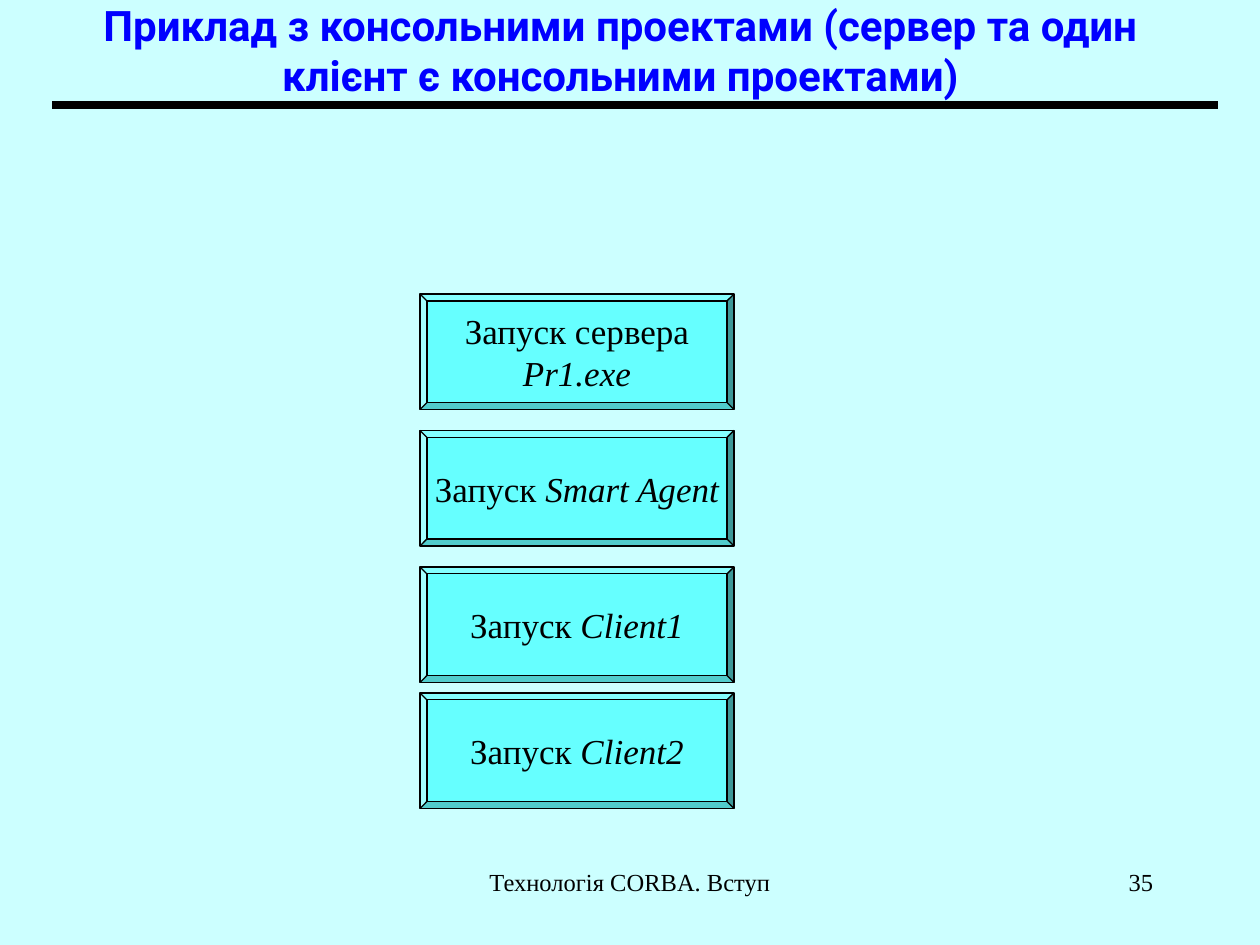
from dataclasses import dataclass

from pptx import Presentation
from pptx.dml.color import RGBColor
from pptx.enum.shapes import MSO_CONNECTOR, MSO_SHAPE
from pptx.enum.text import MSO_ANCHOR, MSO_AUTO_SIZE, PP_ALIGN
from pptx.oxml.ns import qn
from pptx.util import Inches, Pt

BEVEL = MSO_SHAPE.BEVEL
STRAIGHT = MSO_CONNECTOR.STRAIGHT
CENTER, RIGHT = PP_ALIGN.CENTER, PP_ALIGN.RIGHT
TOP, MIDDLE = MSO_ANCHOR.TOP, MSO_ANCHOR.MIDDLE
NO_AUTOFIT = MSO_AUTO_SIZE.NONE
TITLE_ONLY = 5
COLUMNS, ROWS = 120, 90


@dataclass(frozen=True)
class Theme:
    background: RGBColor = RGBColor(0xCC, 0xFF, 0xFF)
    step_fill: RGBColor = RGBColor(0x66, 0xFF, 0xFF)
    title: RGBColor = RGBColor(0x00, 0x00, 0xFF)
    ink: RGBColor = RGBColor(0x00, 0x00, 0x00)
    title_font: str = "Roboto"
    body_font: str = "Times New Roman"
    title_size: int = 24
    step_size: int = 20
    footer_size: int = 14


class SlideBuilder:
    """Places elements on a grid of COLUMNS by ROWS cells."""

    def __init__(self, deck, theme):
        self.theme = theme
        self.cell_width = deck.slide_width / COLUMNS
        self.cell_height = deck.slide_height / ROWS
        self.page = deck.slides.add_slide(deck.slide_layouts[TITLE_ONLY])
        self.page.background.fill.solid()
        self.page.background.fill.fore_color.rgb = theme.background

    def place(self, column, row, width, height):
        return (round(column * self.cell_width), round(row * self.cell_height),
                round(width * self.cell_width), round(height * self.cell_height))

    def style(self, para, size, align, name=None, color=None, bold=False):
        para.alignment = align
        para.font.name = name or self.theme.body_font
        para.font.size = Pt(size)
        para.font.color.rgb = color or self.theme.ink
        para.font.bold = bold

    def title(self, text, *cells):
        box = self.page.shapes.title
        box.left, box.top, box.width, box.height = self.place(*cells)
        frame = box.text_frame
        frame.text = text
        frame.word_wrap = True
        frame.auto_size = NO_AUTOFIT
        frame.vertical_anchor = MIDDLE
        self.style(frame.paragraphs[0], self.theme.title_size, CENTER,
                   self.theme.title_font, self.theme.title, bold=True)

    def rule(self, column, row, width, weight):
        left, top, length, _ = self.place(column, row, width, 0)
        line = self.page.shapes.add_connector(STRAIGHT, left, top, left + length, top)
        line.line.color.rgb = self.theme.ink
        line.line.width = Pt(weight)
        properties = line._element.spPr
        properties.append(properties.makeelement(qn("a:effectLst"), {}))

    def step(self, lines, *cells):
        """Draw a bevelled box; each line is a list of (text, italic) spans."""
        box = self.page.shapes.add_shape(BEVEL, *self.place(*cells))
        box.adjustments[0] = 0.06
        box.shadow.inherit = False
        box.fill.solid()
        box.fill.fore_color.rgb = self.theme.step_fill
        box.line.color.rgb = self.theme.ink
        box.line.width = Pt(0.75)
        frame = box.text_frame
        frame.word_wrap = False
        frame.vertical_anchor = MIDDLE
        for index, spans in enumerate(lines):
            para = frame.add_paragraph() if index else frame.paragraphs[0]
            self.style(para, self.theme.step_size, CENTER)
            for text, italic in spans:
                span = para.add_run()
                span.text = text
                span.font.italic = italic

    def footer(self, text, align, *cells):
        frame = self.page.shapes.add_textbox(*self.place(*cells)).text_frame
        frame.word_wrap = True
        frame.vertical_anchor = TOP
        frame.text = text
        self.style(frame.paragraphs[0], self.theme.footer_size, align)


def main():
    deck = Presentation()
    deck.slide_width, deck.slide_height = Inches(10), Inches(7.5)
    slide = SlideBuilder(deck, Theme())

    slide.title("Приклад з консольними проектами (сервер та один клієнт "
                "є консольними проектами)", 7.2, 0.5, 103.8, 8.5)
    slide.rule(5, 10, 111, weight=4.5)

    steps = [
        (28, [[("Запуск сервера", False)], [("Pr1.exe", True)]]),
        (41, [[("Запуск ", False), ("Smart Agent", True)]]),
        (54, [[("Запуск ", False), ("Client1", True)]]),
        (66, [[("Запуск ", False), ("Client2", True)]]),
    ]
    for row, lines in steps:
        slide.step(lines, 40, row, 29.9, 11)

    slide.footer("Технологія CORBA. Вступ", CENTER, 41, 82, 38, 6)
    slide.footer("35", RIGHT, 86, 82, 25, 6)
    deck.save("out.pptx")


if __name__ == "__main__":
    main()
